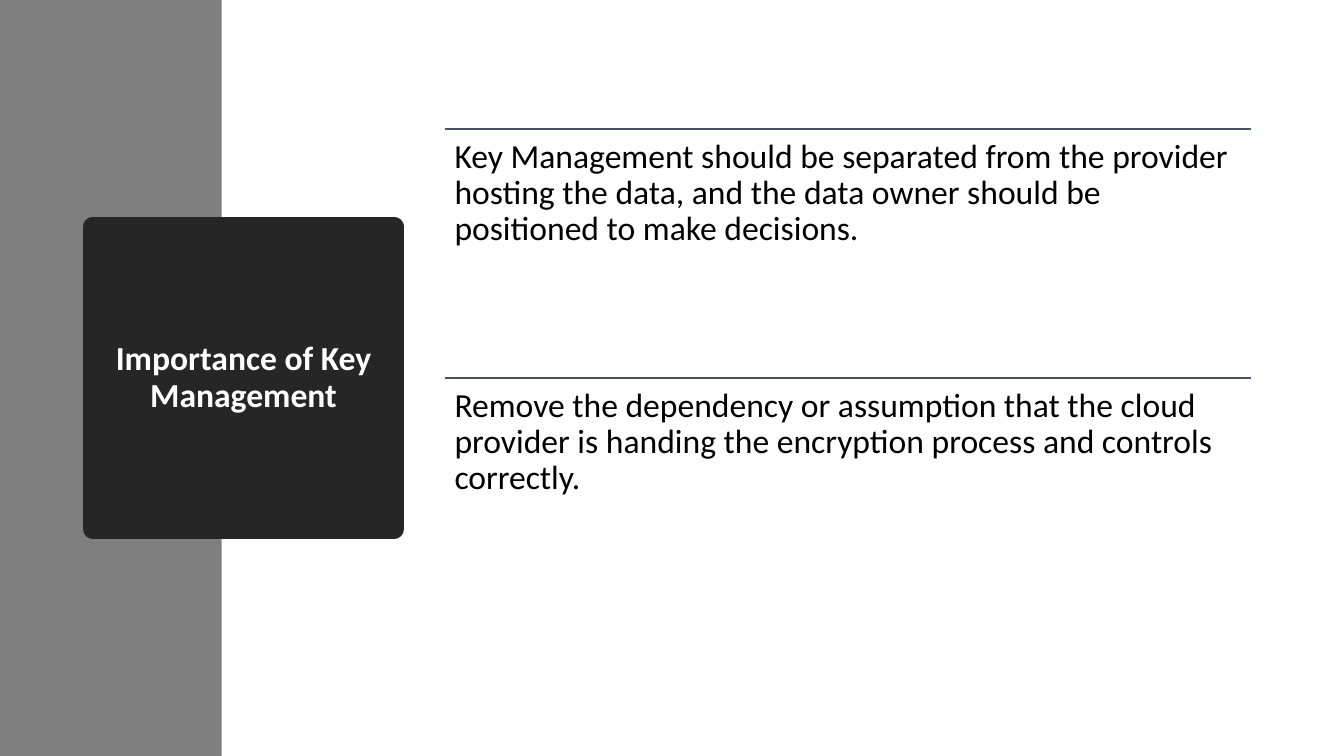
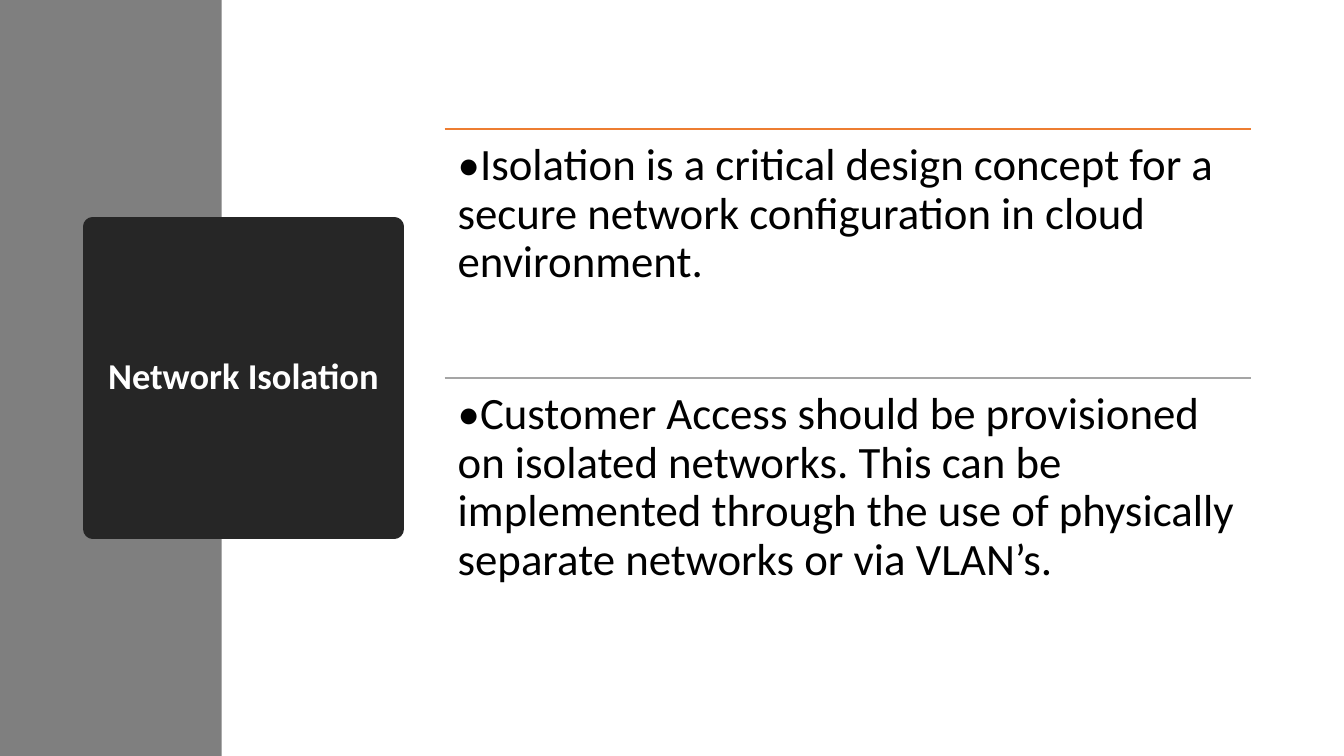
from lxml import etree
from pptx import Presentation
from pptx.dml.color import RGBColor
from pptx.enum.shapes import MSO_CONNECTOR, MSO_SHAPE
from pptx.enum.text import MSO_ANCHOR, PP_ALIGN
from pptx.oxml.ns import qn
from pptx.util import Inches, Pt

FONT = "Calibri"
BAND_COLOR = "7F7F7F"
TITLE_FILL = "262626"
TITLE_COLOR = "FFFFFF"
BODY_COLOR = "000000"

BODY_LEFT, BODY_TOP = 4.41, 1.28
BODY_WIDTH, ROW_HEIGHT = 8, 2.47

SLIDES = [
    {
        "title": "Importance of Key Management",
        "title_size": 24,
        "body_size": 24,
        "inset": 0.1,
        "rows": [
            ("44546A", "Key Management should be separated from the provider hosting the data, "
                       "and the data owner should be positioned to make decisions."),
            ("44546A", "Remove the dependency or assumption that the cloud provider is handing "
                       "the encryption process and controls correctly."),
        ],
    },
    {
        "title": "Network Isolation",
        "title_size": 26,
        "body_size": 32,
        "inset": 0.13,
        "rows": [
            ("ED7D31", "•Isolation is a critical design concept for a secure network "
                       "configuration in cloud environment."),
            ("A5A5A5", "•Customer Access should be provisioned on isolated networks. This can be "
                       "implemented through the use of physically separate networks or via VLAN’s."),
        ],
    },
]


def color(hex_code):
    return RGBColor.from_string(hex_code)


def write_text(shape, text, size, hex_code, bold=False, align=PP_ALIGN.LEFT,
               anchor=MSO_ANCHOR.TOP, inset=0.1):
    frame = shape.text_frame
    frame.word_wrap = True
    frame.vertical_anchor = anchor
    frame.margin_left = frame.margin_right = Inches(inset)
    frame.margin_top = frame.margin_bottom = Inches(inset)
    paragraph = frame.paragraphs[0]
    paragraph.text = text
    paragraph.alignment = align
    paragraph.line_spacing = 0.9
    paragraph.font.name = FONT
    paragraph.font.size = Pt(size)
    paragraph.font.bold = bold
    paragraph.font.color.rgb = color(hex_code)


presentation = Presentation()
presentation.slide_width = Inches(13.33)
presentation.slide_height = Inches(7.5)

for content in SLIDES:
    slide = presentation.slides.add_slide(presentation.slide_layouts[6])

    band = slide.shapes.add_shape(
        MSO_SHAPE.RECTANGLE, 0, 0, Inches(2.2), Inches(7.5))
    band.shadow.inherit = False
    band.fill.solid()
    band.fill.fore_color.rgb = color(BAND_COLOR)
    band.line.fill.background()

    # The thick outline with round joins gives the title box its soft corners.
    title_box = slide.shapes.add_shape(
        MSO_SHAPE.RECTANGLE, Inches(0.92), Inches(2.25), Inches(2.99), Inches(3))
    title_box.shadow.inherit = False
    title_box.fill.solid()
    title_box.fill.fore_color.rgb = color(TITLE_FILL)
    title_box.line.color.rgb = color(TITLE_FILL)
    title_box.line.width = Pt(13.75)
    outline = title_box._element.spPr.find(qn("a:ln"))
    etree.SubElement(outline, qn("a:round"))
    write_text(title_box, content["title"], content["title_size"], TITLE_COLOR,
               bold=True, align=PP_ALIGN.CENTER, anchor=MSO_ANCHOR.MIDDLE)

    for index, (rule_color, text) in enumerate(content["rows"]):
        top = Inches(BODY_TOP + index * ROW_HEIGHT)
        rule = slide.shapes.add_connector(
            MSO_CONNECTOR.STRAIGHT, Inches(BODY_LEFT), top,
            Inches(BODY_LEFT + BODY_WIDTH), top)
        rule.line.color.rgb = color(rule_color)
        rule.line.width = Pt(1)
        etree.SubElement(rule._element.spPr, qn("a:effectLst"))

        text_box = slide.shapes.add_textbox(
            Inches(BODY_LEFT), top, Inches(BODY_WIDTH), Inches(ROW_HEIGHT))
        write_text(text_box, text, content["body_size"], BODY_COLOR, inset=content["inset"])

presentation.save("out.pptx")
